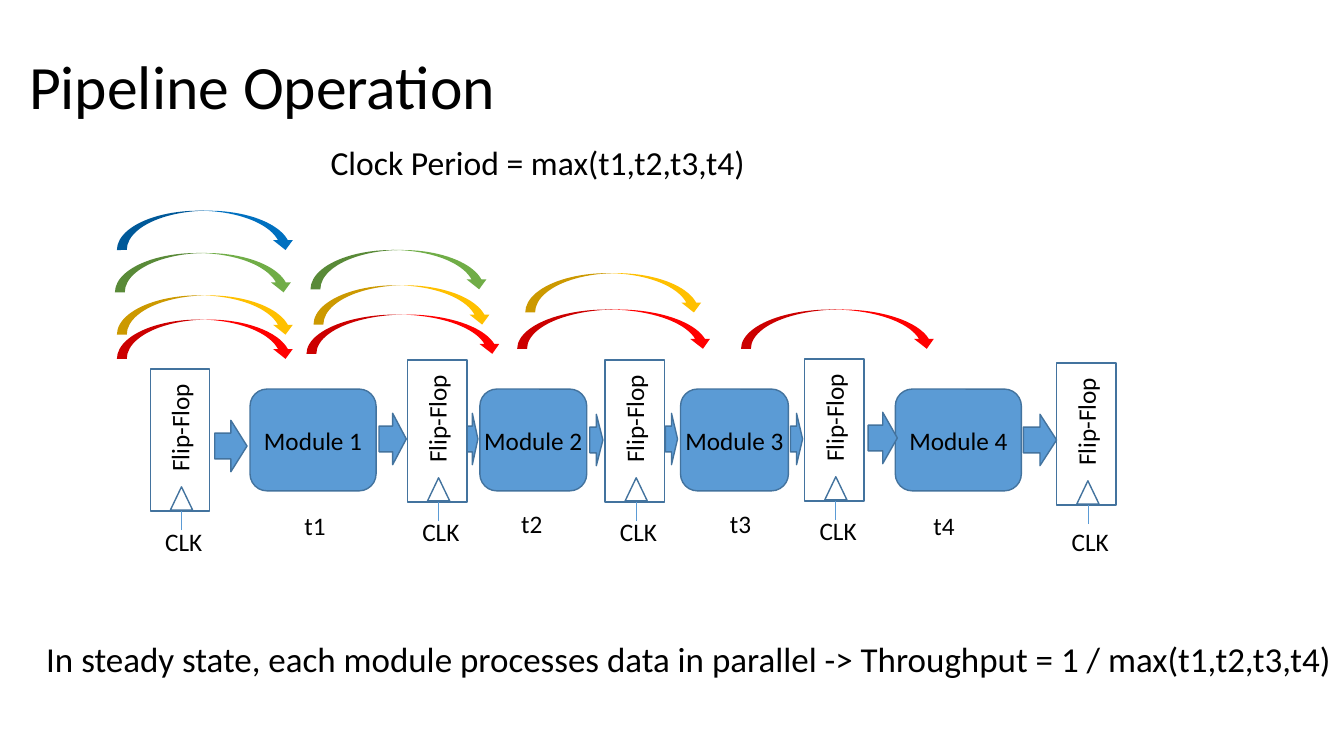
from pptx import Presentation
from pptx.dml.color import RGBColor
from pptx.enum.shapes import MSO_CONNECTOR, MSO_SHAPE as Preset
from pptx.enum.text import MSO_ANCHOR, MSO_AUTO_SIZE, PP_ALIGN
from pptx.oxml.ns import qn
from pptx.util import Inches, Pt
from lxml import etree

COLORS = {
    "text": "000000", "block": "5B9BD5", "outline": "43739E",
    "red": "FF0000", "gold": "FFC000", "green": "70AD47", "blue": "0070C0",
}

deck = Presentation()
deck.slide_width, deck.slide_height = Inches(13.33), Inches(7.5)
page = deck.slides.add_slide(deck.slide_layouts[6])


def add_block(preset, left, top, width, height, fill=None, outlined=True):
    block = page.shapes.add_shape(
        preset, Inches(left), Inches(top), Inches(width), Inches(height))
    block.shadow.inherit = False
    if fill:
        block.fill.solid()
        block.fill.fore_color.rgb = RGBColor.from_string(COLORS[fill])
    else:
        block.fill.background()
    if outlined:
        block.line.color.rgb = RGBColor.from_string(COLORS["outline"])
        block.line.width = Pt(1)
    else:
        block.line.fill.background()
    return block


def add_label(text, left, top, width, height, size=18, block=None):
    box = block or page.shapes.add_textbox(
        Inches(left), Inches(top), Inches(width), Inches(height))
    frame = box.text_frame
    frame.text = text
    frame.word_wrap = False
    if not block:
        frame.auto_size = MSO_AUTO_SIZE.SHAPE_TO_FIT_TEXT
    span = frame.paragraphs[0].runs[0]
    span.font.name = "Calibri"
    span.font.size = Pt(size)
    span.font.color.rgb = RGBColor.from_string(COLORS["text"])
    return box


title = add_label("Pipeline Operation", 0.19, 0.16, 11.5, 1.45, 44)
title.text_frame.auto_size = MSO_AUTO_SIZE.NONE
title.text_frame.word_wrap = True
title.text_frame.vertical_anchor = MSO_ANCHOR.MIDDLE
title.text_frame.paragraphs[0].line_spacing = 0.9

add_label("Clock Period = max(t1,t2,t3,t4)", 3.18, 1.36, 4.34, 0.5, 24)

modules = [(2.48, 1.25, 2.92, 5.01), (4.76, 1.06, 5.07, 4.99),
           (6.75, 1.07, 7.14, 4.99), (8.88, 1.25, 9.16, 5.01)]
for number, (left, width, time_left, time_top) in enumerate(modules, 1):
    module = add_block(Preset.ROUNDED_RECTANGLE, left, 3.86, width, 1.01, "block")
    add_label(f"Module {number}", left, 3.86, width, 1.01, block=module)
    module.text_frame.vertical_anchor = MSO_ANCHOR.MIDDLE
    module.text_frame.paragraphs[0].alignment = PP_ALIGN.CENTER
    add_label(f"t{number}", time_left, time_top, 0.41, 0.4)

flow_arrows = [(2.13, 4.17, 0.32), (3.76, 4.1, 0.27), (4.63, 4.1, 0.11),
               (5.85, 4.11, 0.13), (6.6, 4.1, 0.12), (7.84, 4.1, 0.12),
               (8.61, 4.09, 0.29), (10.15, 4.11, 0.33)]
for left, top, width in flow_arrows:
    add_block(Preset.RIGHT_ARROW, left, top, width, 0.51, "block")

flip_flops = [(1.49, 3.66, 5.17), (4.04, 3.57, 5.07), (6, 3.57, 5.07),
              (7.98, 3.56, 5.06), (10.48, 3.6, 5.17)]
for left, top, clock_top in flip_flops:
    add_block(Preset.RECTANGLE, left, top, 0.59, 1.41)
    add_block(Preset.ISOSCELES_TRIANGLE, left + 0.2, top + 1.17, 0.22, 0.23)
    add_label("Flip-Flop", left - 0.25, top + 0.38, 1.08, 0.4).rotation = 270
    wire = page.shapes.add_connector(
        MSO_CONNECTOR.STRAIGHT, Inches(left + 0.31), Inches(top + 1.6),
        Inches(left + 0.31), Inches(top + 1.41))
    wire.line.color.rgb = RGBColor.from_string(COLORS["block"])
    wire.line.width = Pt(0.5)
    etree.SubElement(wire._element.spPr, qn("a:effectLst"))
    add_label("CLK", left + 0.05, clock_top, 0.58, 0.4)

data_hops = [
    ("red", 1.16, 3.17, 1.77), ("red", 3.04, 3.12, 1.94),
    ("gold", 1.16, 2.93, 1.77), ("red", 5.13, 3.07, 1.94),
    ("gold", 3.11, 2.83, 1.77), ("green", 1.14, 2.51, 1.77),
    ("red", 7.35, 3.07, 1.94), ("gold", 5.21, 2.71, 1.77),
    ("green", 3.08, 2.48, 1.77), ("blue", 1.16, 2.09, 1.77),
]
for color, left, top, width in data_hops:
    add_block(Preset.CURVED_DOWN_ARROW, left, top, width, 0.39, color, outlined=False)

add_label("In steady state, each module processes data in parallel -> "
          "Throughput = 1 / max(t1,t2,t3,t4)", 0.36, 6.28, 13.59, 0.54, 25)

deck.save("out.pptx")
